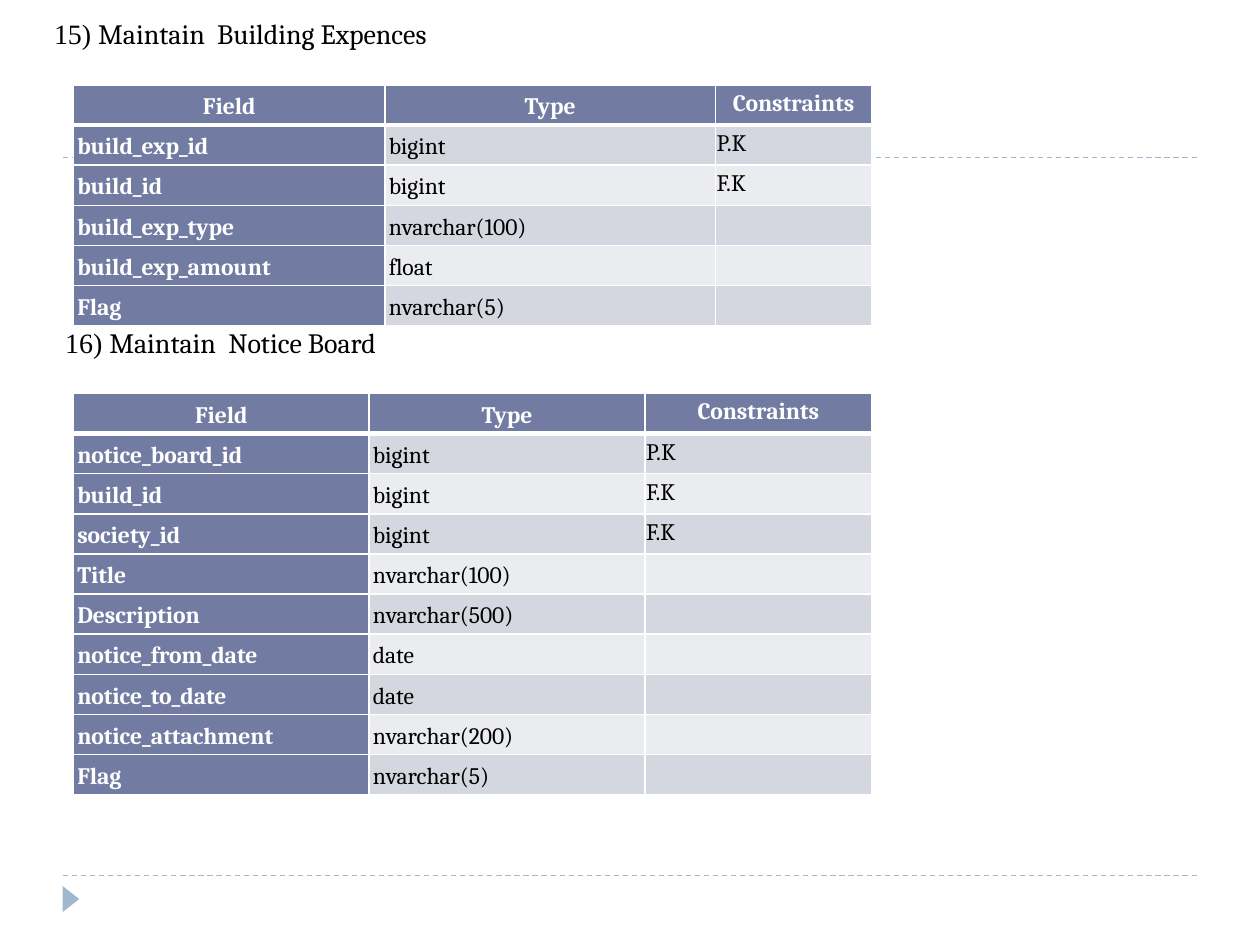
from lxml.etree import SubElement
from pptx import Presentation
from pptx.dml.color import RGBColor
from pptx.enum.dml import MSO_LINE
from pptx.enum.shapes import MSO_CONNECTOR, MSO_SHAPE
from pptx.enum.text import MSO_ANCHOR as ANCHOR, PP_ALIGN as ALIGN
from pptx.oxml import parse_xml
from pptx.oxml.ns import nsdecls, qn
from pptx.util import Pt

WHITE = RGBColor(0xFF, 0xFF, 0xFF)
BLACK = RGBColor(0, 0, 0)
SLATE = RGBColor(0x72, 0x7C, 0xA3)
PALE_BLUE = RGBColor(0x9F, 0xB8, 0xCD)
BANDS = [RGBColor(0xEB, 0xEC, 0xF0), RGBColor(0xD5, 0xD7, 0xE0)]
FIELD_SIZE = 13.5
ROW_HEIGHT = 21.95


def add_text(paragraph, text, size=FIELD_SIZE, font="Cambria", color=BLACK,
             bold=False, align=ALIGN.LEFT, spacing=None):
    paragraph.alignment = align
    if spacing:
        paragraph.line_spacing = spacing
    if not text:
        SubElement(paragraph._p, qn("a:endParaRPr"), sz=str(int(size * 100)))
        return
    run = paragraph.add_run()
    run.text = text
    run.font.size = Pt(size)
    run.font.name = font
    run.font.color.rgb = color
    run.font.bold = bold


def set_borders(cell, top, bottom):
    properties = cell._tc.get_or_add_tcPr()
    widths = {"lnL": 1, "lnR": 1, "lnT": top, "lnB": bottom}
    for position, (side, width) in enumerate(widths.items()):
        properties.insert(position, parse_xml(
            f'<a:{side} {nsdecls("a")} w="{Pt(width)}"><a:solidFill>'
            f'<a:srgbClr val="{WHITE}"/></a:solidFill></a:{side}>'))


prs = Presentation()
prs.slide_width, prs.slide_height = Pt(720), Pt(540)
slide = prs.slides.add_slide(prs.slide_layouts[6])
shapes = slide.shapes

for rule_y in (500.4, 90):
    rule = shapes.add_connector(MSO_CONNECTOR.STRAIGHT, Pt(36), Pt(rule_y), Pt(684), Pt(rule_y))
    rule.line.color.rgb = PALE_BLUE
    rule.line.width = Pt(0.75)
    rule.line.dash_style = MSO_LINE.DASH
    SubElement(rule._element.spPr, qn("a:effectLst"))

page_marker = shapes.add_shape(MSO_SHAPE.ISOSCELES_TRIANGLE, Pt(33), Pt(509), Pt(15), Pt(9.5))
page_marker.rotation = 90
page_marker.shadow.inherit = False
page_marker.fill.solid()
page_marker.fill.fore_color.rgb = PALE_BLUE
page_marker.line.fill.background()

headings = [
    ("15) ", "Maintain  Building Expences", (23.8, 5.8, 234.7, 48), False, 3.6),
    ("16) ", "Maintain  Notice Board", (30.2, 180, 228.2, 72.7), True, 6),
]
for number, title, box, wrap, inset in headings:
    heading = shapes.add_textbox(*map(Pt, box)).text_frame
    heading.word_wrap = wrap
    heading.vertical_anchor = ANCHOR.TOP
    heading.margin_top = Pt(inset)
    add_text(heading.paragraphs[0], number, size=16, font="Times New Roman")
    add_text(heading.paragraphs[0], title, size=16)

HEADER = ("Field", "Type", "Constraints")
expense_fields = [
    HEADER,
    ("build_exp_id", "bigint", "P.K"),
    ("build_id", "bigint", "F.K"),
    ("build_exp_type", "nvarchar(100)", ""),
    ("build_exp_amount", "float", ""),
    ("Flag", "nvarchar(5)", ""),
]
notice_fields = [
    HEADER,
    ("notice_board_id", "bigint", "P.K"),
    ("build_id", "bigint", "F.K"),
    ("society_id", "bigint", "F.K"),
    ("Title", "nvarchar(100)", ""),
    ("Description", "nvarchar(500)", ""),
    ("notice_from_date", "date", ""),
    ("notice_to_date", "date", ""),
    ("notice_attachment", "nvarchar(200)", ""),
    ("Flag", "nvarchar(5)", ""),
]
for fields, top, widths in [
    (expense_fields, 48.5, (178, 188.8, 89.4)),
    (notice_fields, 224.8, (169, 157.5, 129.7)),
]:
    table = shapes.add_table(len(fields), len(HEADER), Pt(42), Pt(top),
                             Pt(sum(widths)), Pt(ROW_HEIGHT * len(fields))).table
    table.horz_banding = False
    for column, width in zip(table.columns, widths):
        column.width = Pt(width)
    for r, field in enumerate(fields):
        table.rows[r].height = Pt(ROW_HEIGHT)
        for c, text in enumerate(field):
            cell = table.cell(r, c)
            is_header = r == 0
            is_label = is_header or c == 0
            is_constraint = c == 2
            margin = Pt(0.72 if is_constraint else 2.16)
            cell.margin_left = cell.margin_right = margin
            cell.margin_top = cell.margin_bottom = margin
            cell.vertical_anchor = ANCHOR.TOP if is_constraint else ANCHOR.MIDDLE
            cell.fill.solid()
            cell.fill.fore_color.rgb = SLATE if is_label else BANDS[r % 2]
            set_borders(cell, top=3 if r == 1 else 1, bottom=3 if is_header else 1)
            add_text(cell.text_frame.paragraphs[0], text,
                     color=WHITE if is_label else BLACK, bold=is_label,
                     align=ALIGN.CENTER if is_header else ALIGN.LEFT, spacing=1.15)

prs.save("out.pptx")
